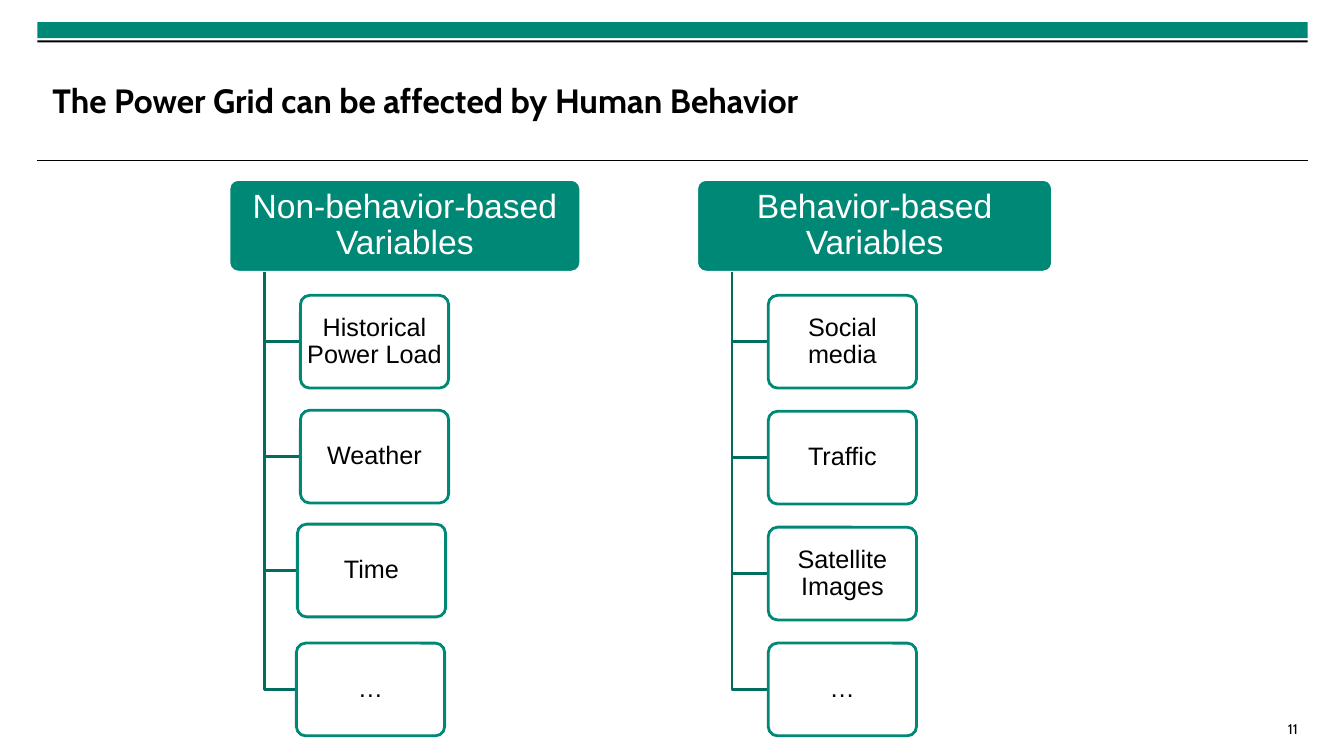
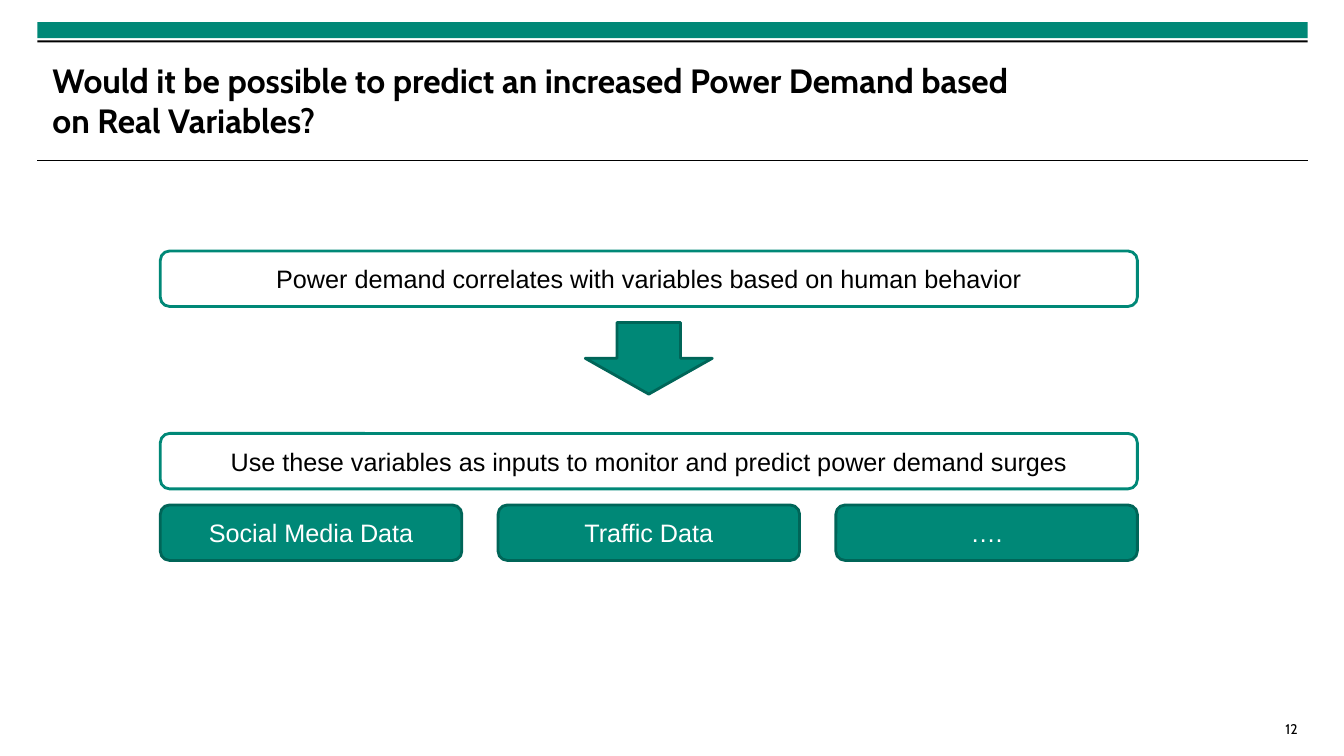
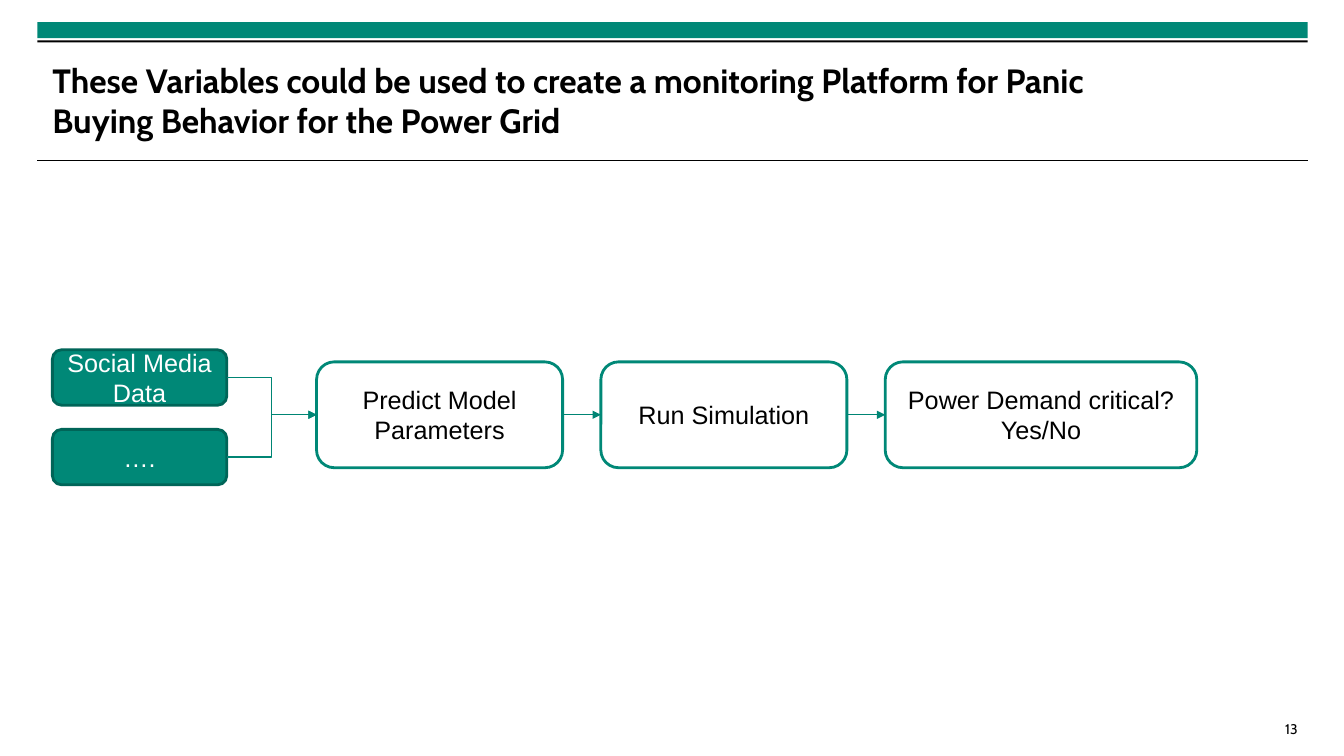
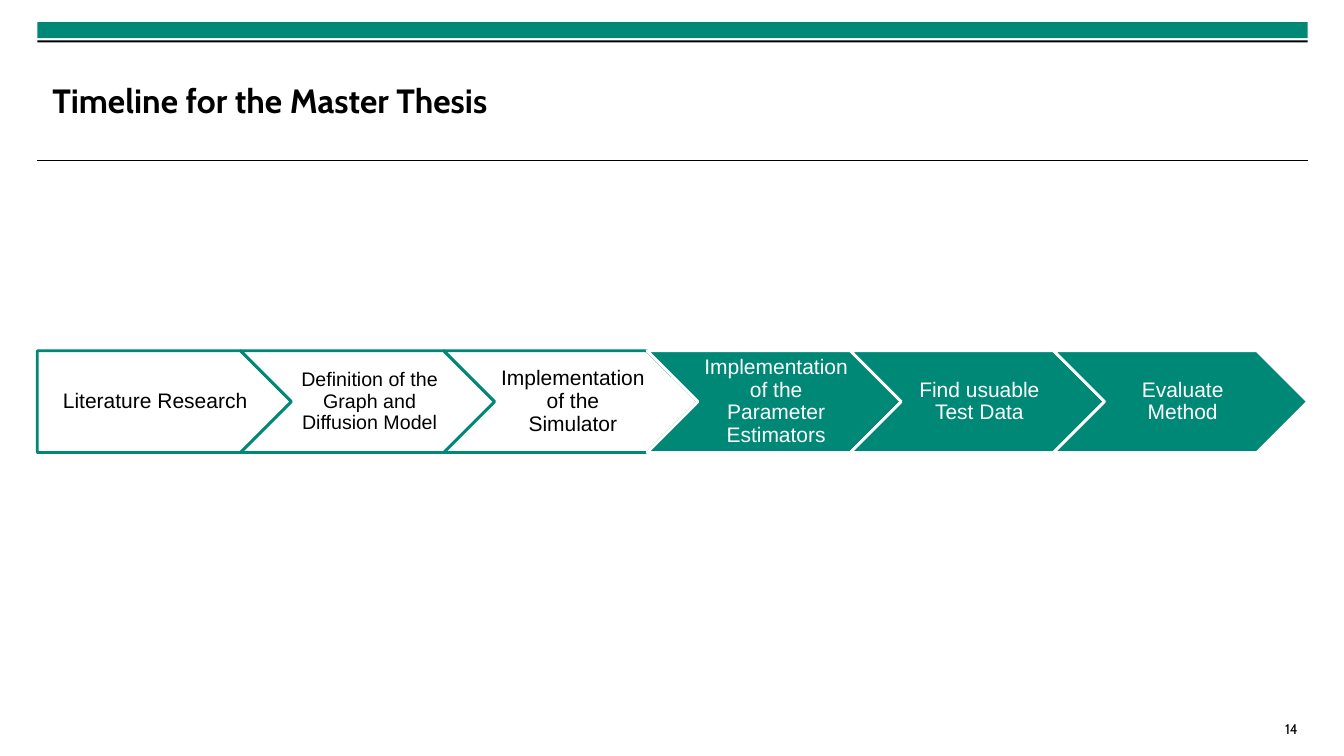
from lxml.etree import SubElement
from pptx import Presentation
from pptx.dml.color import RGBColor
from pptx.enum.shapes import MSO_CONNECTOR, MSO_SHAPE
from pptx.enum.text import MSO_ANCHOR, MSO_AUTO_SIZE, PP_ALIGN
from pptx.oxml.ns import qn
from pptx.util import Emu, Pt

PX = 9144
TEAL = RGBColor(0x00, 0x88, 0x77)
EDGE = RGBColor(0x00, 0x65, 0x58)
BRANCH = RGBColor(0x00, 0x6D, 0x5F)
ARROW = RGBColor(0x00, 0x85, 0x74)
WHITE = RGBColor(0xFF, 0xFF, 0xFF)
BLACK = RGBColor(0x00, 0x00, 0x00)

FILLED = dict(fill=TEAL, line=EDGE, color=WHITE)
OUTLINED = dict(fill=WHITE, line=TEAL, color=BLACK)
BORDERED = dict(fill=TEAL, line=WHITE, color=WHITE)

FRAME = (37, 22, 1260)
TITLE_FONT = dict(name="Cabin", size=Pt(24), bold=True)
NUMBER_FONT = dict(name="Cabin", size=Pt(10))


def px(*values):
    """Turn px lengths into a list of EMU lengths."""
    return [Emu(round(v * PX)) for v in values]


def assign(obj, values):
    """Set attributes of an object from a dict."""
    for name, value in values.items():
        setattr(obj, name, value)


def set_text(tf, text, font, color, align, margins, spacing=None):
    """Fill a text frame and format all its paragraphs."""
    left, top, right, bottom = px(*margins)
    assign(tf, dict(text=text, word_wrap=True, auto_size=MSO_AUTO_SIZE.NONE,
                    margin_left=left, margin_top=top,
                    margin_right=right, margin_bottom=bottom))
    for p in tf.paragraphs:
        assign(p, dict(alignment=align, line_spacing=spacing))
        for r in p.runs:
            assign(r.font, font)
            r.font.color.rgb = color


def add_box(s, kind, box, look, text="", size=18, margins=(10, 5, 10, 5),
            spacing=None, adj=None):
    """Add a preset shape with centred text."""
    sp = s.shapes.add_shape(kind, *px(*box))
    sp.shadow.inherit = False
    sp.fill.solid()
    sp.fill.fore_color.rgb = look["fill"]
    sp.line.color.rgb = look["line"]
    sp.line.width = Pt(2)
    if adj is not None:
        sp.adjustments[0] = adj
    sp.text_frame.vertical_anchor = MSO_ANCHOR.MIDDLE
    set_text(sp.text_frame, text, dict(name="Arial", size=Pt(size)),
             look["color"], PP_ALIGN.CENTER, margins, spacing)
    return sp


def add_bar(s, x, y, w, h, color):
    """Add a plain bar without an outline."""
    sp = s.shapes.add_shape(MSO_SHAPE.RECTANGLE, *px(x, y, w, h))
    sp.shadow.inherit = False
    sp.fill.solid()
    sp.fill.fore_color.rgb = color
    sp.line.fill.background()


def add_line(s, kind, ends, color, width):
    """Add a connector without a shadow."""
    cn = s.shapes.add_connector(kind, *px(*ends))
    cn.line.color.rgb = color
    cn.line.width = Pt(width)
    SubElement(cn.element.spPr, qn("a:effectLst"))
    return cn


def add_arrow(s, start, end, kind=MSO_CONNECTOR.STRAIGHT):
    """Join the right side of one box to the left side of another."""
    cn = add_line(s, kind, (0, 0, 0, 0), ARROW, 1)
    cn.begin_connect(start, 3)
    cn.end_connect(end, 1)
    ln = cn.element.spPr.find(qn("a:ln"))
    SubElement(ln, qn("a:tailEnd"), type="triangle")


def add_slide(prs, number, title, title_w=969):
    """Add a slide with the shared bands, title and page number."""
    s = prs.slides.add_slide(prs.slide_layouts[5])
    x, y, w = FRAME
    add_bar(s, x, y, w, 16, TEAL)
    add_bar(s, x, y + 18, w, 2, BLACK)
    add_line(s, MSO_CONNECTOR.STRAIGHT, (x, y + 137, x + w, y + 137), BLACK, 0.6)
    sp = s.shapes.title
    left, top, width, height = px(x + 15, y + 31, title_w, 92)
    assign(sp, dict(left=left, top=top, width=width, height=height))
    sp.text_frame.vertical_anchor = MSO_ANCHOR.MIDDLE
    set_text(sp.text_frame, title, TITLE_FONT, BLACK, PP_ALIGN.LEFT, (0, 0, 0, 0))
    tb = s.shapes.add_textbox(*px(x + w - 1050, 710, 1050, 25))
    set_text(tb.text_frame, str(number), NUMBER_FONT, BLACK, PP_ALIGN.RIGHT,
             (10, 5, 10, 5))
    return s


def add_tree(s, x, y, w, heading, items):
    """Draw a heading with boxes branching off below it."""
    h, trunk = 92, x + 35
    add_box(s, MSO_SHAPE.ROUNDED_RECTANGLE, (x, y, w, h), BORDERED, heading,
            24, (5, 3, 5, 3), 0.9, 0.1)
    for i, (text, dx, dy) in enumerate(items, 1):
        left, top = x + 71 + dx, y + 115 * i + dy
        fb = s.shapes.build_freeform(trunk, y + h, scale=PX)
        fb.add_line_segments([(trunk, top + h // 2), (left, top + h // 2)],
                             close=False)
        branch = fb.convert_to_shape()
        branch.shadow.inherit = False
        branch.fill.background()
        branch.line.color.rgb = BRANCH
        branch.line.width = Pt(2)
        add_box(s, MSO_SHAPE.ROUNDED_RECTANGLE, (left, top, 147, h), OUTLINED,
                text, 18, (3, 3, 3, 3), 0.9, 0.1)


def add_inference(s, x, y, w, claim, action, inputs):
    """Draw a claim, an arrow to the action, and a row of inputs."""
    h, gap = 55, 36
    kind = MSO_SHAPE.ROUNDED_RECTANGLE
    add_box(s, kind, (x, y, w, h), OUTLINED, claim)
    add_box(s, MSO_SHAPE.DOWN_ARROW, (x + (w - 126) / 2, y + 71, 126, 71), FILLED)
    add_box(s, kind, (x, y + 181, w, h), OUTLINED, action)
    cell = (w - gap * (len(inputs) - 1)) / len(inputs)
    for i, text in enumerate(inputs):
        add_box(s, kind, (x + i * (cell + gap), y + 252, cell, h), FILLED, text)


def add_flow(s, x, y, inputs, steps):
    """Draw stacked inputs that feed a row of steps."""
    kind = MSO_SHAPE.ROUNDED_RECTANGLE
    sources = [add_box(s, kind, (x, y + 79 * i, 173, 55), FILLED, text)
               for i, text in enumerate(inputs)]
    left, boxes = x + 262, []
    for text, w in steps:
        boxes.append(add_box(s, kind, (left, y + 12, w, 105), OUTLINED, text))
        left += w + 38
    for source in sources:
        add_arrow(s, source, boxes[0], MSO_CONNECTOR.ELBOW)
    for start, end in zip(boxes, boxes[1:]):
        add_arrow(s, start, end)


def add_timeline(s, x, y, w, h, stages):
    """Draw overlapping chevrons, each starting at 80% of the one before."""
    cell = w / (1 + 0.8 * (len(stages) - 1))
    for i, (text, size, look) in enumerate(stages):
        kind = MSO_SHAPE.CHEVRON if i else MSO_SHAPE.PENTAGON
        margins = (5, 4, 1, 4) if i else (9, 4, 2, 4)
        add_box(s, kind, (x + 0.8 * cell * i, y, cell, h), look, text, size,
                margins, 0.9)


def main():
    """Build the presentation."""
    prs = Presentation()
    prs.slide_width, prs.slide_height = px(1333, 750)

    s = add_slide(prs, 11, "The Power Grid can be affected by Human Behavior")
    add_tree(s, 227, 178, 349, "Non-behavior-based Variables",
             [("Historical Power Load", 0, 0), ("Weather", 0, -1),
              ("Time", -3, -3), ("…", -4, 0)])
    add_tree(s, 691, 178, 353, "Behavior-based Variables",
             [("Social media", 0, 0), ("Traffic", 0, 0),
              ("Satellite Images", 0, 0), ("…", 0, 0)])

    s = add_slide(prs, 12, "Would it be possible to predict an increased "
                  "Power Demand based on Real Variables?")
    add_inference(s, 159, 249, 969,
                  "Power demand correlates with variables based on human behavior",
                  "Use these variables as inputs to monitor and predict "
                  "power demand surges",
                  ["Social Media Data", "Traffic Data", "…."])

    s = add_slide(prs, 13, "These Variables could be used to create a monitoring "
                  "Platform for Panic Buying Behavior for the Power Grid", 1040)
    add_flow(s, 52, 347, ["Social Media Data", "…."],
             [("Predict Model Parameters", 244), ("Run Simulation", 244),
              ("Power Demand critical?\nYes/No", 309)])

    s = add_slide(prs, 14, "Timeline for the Master Thesis")
    add_timeline(s, 37, 348, 1260, 101,
                 [("Literature Research", 15, OUTLINED),
                  ("Definition of the Graph and Diffusion Model", 14, OUTLINED),
                  ("Implementation of the Simulator", 15, OUTLINED),
                  ("Implementation of the Parameter Estimators", 15, BORDERED),
                  ("Find usuable Test Data", 15, BORDERED),
                  ("Evaluate Method", 15, BORDERED)])

    prs.save("out.pptx")


if __name__ == "__main__":
    main()
